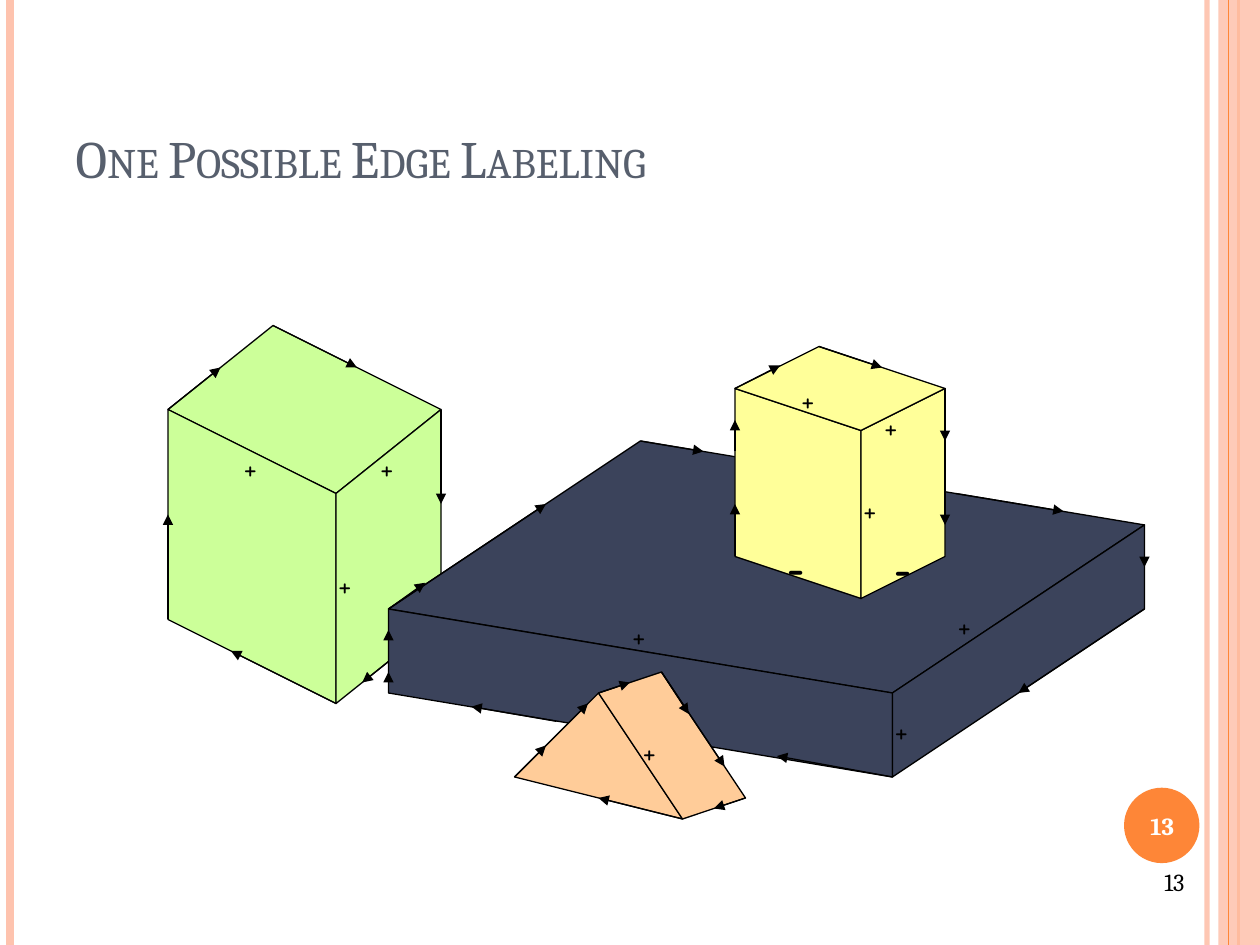
from pptx import Presentation
from pptx.dml.color import RGBColor
from pptx.enum.shapes import MSO_CONNECTOR, MSO_SHAPE
from pptx.enum.text import MSO_ANCHOR, MSO_AUTO_SIZE, PP_ALIGN
from pptx.oxml.ns import qn
from pptx.util import Cm, Pt
from lxml import etree

STRAIGHT = MSO_CONNECTOR.STRAIGHT
RECT, OVAL = MSO_SHAPE.RECTANGLE, MSO_SHAPE.OVAL
TOP, MIDDLE, BOTTOM = MSO_ANCHOR.TOP, MSO_ANCHOR.MIDDLE, MSO_ANCHOR.BOTTOM
LEFT, CENTER, RIGHT = PP_ALIGN.LEFT, PP_ALIGN.CENTER, PP_ALIGN.RIGHT
NO_FIT = MSO_AUTO_SIZE.NONE

BLACK = RGBColor(0x00, 0x00, 0x00)
WHITE = RGBColor(0xFF, 0xFF, 0xFF)
SLATE = RGBColor(0x57, 0x5F, 0x6D)
ORANGE = RGBColor(0xFE, 0x86, 0x37)
PEACH = RGBColor(0xFE, 0xC3, 0xAE)
GREEN = RGBColor(0xCC, 0xFF, 0x99)
NAVY = RGBColor(0x3B, 0x43, 0x5B)
APRICOT = RGBColor(0xFF, 0xCC, 0x99)
YELLOW = RGBColor(0xFF, 0xFF, 0x99)

SERIF, COMIC = "Cambria", "Comic Neue"
WIDTH, HEIGHT = 25.4, 19.05
GRID = 2.54 / 12  # the drawing sits on a grid of twelve steps to the inch

TITLE = "One Possible Edge Labeling"
NUMBER = "13"

# Vertical rules of the frame: x in cm, colour, width in points, opacity %
RULES_BEHIND = [(24.33, PEACH, 3, 93), (0.2, PEACH, 4.5, 100), (24.97, ORANGE, 1.5, 100)]
RULE_FRONT = (24.77, ORANGE, 0.75, 100)

# Faces of the solids, back to front, in grid steps
FACES = [
    (GREEN, [(16, 39), (32, 47), (42, 39), (26, 31)]),
    (GREEN, [(16, 59), (16, 39), (32, 47), (32, 67)]),
    (GREEN, [(42, 59), (32, 67), (32, 47), (42, 39)]),
    (NAVY, [(37, 58), (85, 66), (109, 50), (61, 42)]),
    (NAVY, [(37, 66), (37, 58), (85, 66), (85, 74)]),
    (NAVY, [(109, 58), (109, 50), (85, 66), (85, 74)]),
    (APRICOT, [(49, 74), (65, 78), (57, 66)]),
    (APRICOT, [(57, 66), (63, 64), (71, 76), (65, 78)]),
    (YELLOW, [(70, 53), (82, 57), (82, 41), (70, 37)]),
    (YELLOW, [(82, 41), (90, 37), (90, 53), (82, 57)]),
    (YELLOW, [(70, 37), (78, 33), (90, 37), (82, 41)]),
]

# Occluding edges: arrows from start to end, in grid steps
ARROWS = [
    # green block
    (16, 59, 16, 49), (32, 67, 22, 62), (16, 39, 21, 35), (26, 31, 34, 35),
    (37, 63, 34.5, 65), (42, 39, 42, 48),
    # slab
    (37, 58, 52, 48), (37, 58, 40.5, 55.5), (37, 66, 37, 60), (37, 66, 37, 64),
    (53, 68.7, 44.9, 67.3), (109, 58, 97, 66), (85, 74, 74, 72),
    (61, 42, 67, 43), (91, 47, 101.3, 48.7), (109, 50, 109, 54),
    # wedge
    (65, 78, 57, 76), (49, 74, 52, 71), (49, 74, 56, 67), (57, 66, 60, 65),
    (63, 64, 65.6, 68), (63, 64, 69, 73), (71, 76, 68, 77),
    # yellow block
    (70, 43, 70, 40), (70, 53, 70, 48), (70, 37, 74.3, 34.8),
    (78, 33, 84, 35), (90, 37, 90, 42), (90, 37, 90, 50),
]

# Convex and concave edges: sign, size, bold, box in cm, corners in grid steps
SIGNS = [
    ("+", 18, False, (0.81, 1.02), [
        (84, 67.1), (90, 57.1), (59, 58.1), (35, 42.1), (31, 53.2),
        (22, 42.1), (60, 69.1), (81, 46.1), (83, 38.2), (75.1, 35.6)]),
    ("-", 24, True, (1.02, 1.27), [(84, 51.1), (73.8, 51)]),
]


def set_alpha(fill_parent, percent):
    if percent < 100:
        color = fill_parent.find(".//" + qn("a:srgbClr"))
        etree.SubElement(color, qn("a:alpha")).set("val", str(percent * 1000))


def add_line(x1, y1, x2, y2, color=BLACK, width=0.75, opacity=100, arrow=False):
    line = slide.shapes.add_connector(STRAIGHT, Cm(x1), Cm(y1), Cm(x2), Cm(y2))
    line.line.color.rgb = color
    line.line.width = Pt(width)
    sp_pr = line._element.spPr
    ln = sp_pr.find(qn("a:ln"))
    set_alpha(ln, opacity)
    if arrow:
        etree.SubElement(ln, qn("a:tailEnd")).set("type", "triangle")
    etree.SubElement(sp_pr, qn("a:effectLst"))


def add_rule(x, color, width, opacity):
    add_line(x, 0, x, HEIGHT, color, width, opacity)


def add_solid(kind, x, y, w, h, color, opacity=100):
    sp = slide.shapes.add_shape(kind, Cm(x), Cm(y), Cm(w), Cm(h))
    sp.shadow.inherit = False
    sp.fill.solid()
    sp.fill.fore_color.rgb = color
    set_alpha(sp._element.spPr, opacity)
    sp.line.fill.background()


def write(tf, text, size, font, color, align=LEFT, bold=False):
    p = tf.paragraphs[0]
    p.alignment = align
    r = p.add_run()
    r.text = text
    r.font.size = Pt(size)
    r.font.name = font
    r.font.bold = bold
    r.font.color.rgb = color
    return r


def add_text(x, y, w, h, text, size, font, color, align=LEFT, bold=False,
             anchor=TOP, wrap=True):
    tf = slide.shapes.add_textbox(Cm(x), Cm(y), Cm(w), Cm(h)).text_frame
    tf.word_wrap = wrap
    tf.vertical_anchor = anchor
    write(tf, text, size, font, color, align, bold)


def add_face(color, corners):
    start, *rest = [(Cm(x * GRID), Cm(y * GRID)) for x, y in corners]
    builder = slide.shapes.build_freeform(*start)
    builder.add_line_segments(rest, close=True)
    sp = builder.convert_to_shape()
    sp.shadow.inherit = False
    sp.fill.solid()
    sp.fill.fore_color.rgb = color
    sp.line.color.rgb = BLACK
    sp.line.width = Pt(0.75)


prs = Presentation()
prs.slide_width, prs.slide_height = Cm(WIDTH), Cm(HEIGHT)
slide = prs.slides.add_slide(prs.slide_layouts[5])

# Frame
for rule in RULES_BEHIND:
    add_rule(*rule)
add_solid(RECT, 24.56, 0, 0.84, HEIGHT, PEACH, 87)
add_rule(*RULE_FRONT)
add_solid(OVAL, 22.66, 15.88, 1.52, 1.52, ORANGE)

# Title
title = slide.shapes.title
title.left, title.top, title.width, title.height = Cm(1.27), Cm(0.76), Cm(20.75), Cm(3.18)
title.text_frame.vertical_anchor = BOTTOM
title.text_frame.auto_size = NO_FIT
r = write(title.text_frame, TITLE, 30, SERIF, SLATE)
r.font._element.set("cap", "small")

# Number in the disc
add_text(22.58, 15.93, 1.7, 1.45, NUMBER, 14, SERIF, WHITE, CENTER, True, MIDDLE)

# Solids, arrows and signs
for color, corners in FACES:
    add_face(color, corners)
for arrow in ARROWS:
    add_line(*(v * GRID for v in arrow), arrow=True)
for sign, size, bold, (w, h), corners in SIGNS:
    for x, y in corners:
        add_text(x * GRID, y * GRID, w, h, sign, size, COMIC, BLACK, bold=bold, wrap=False)

# Footer number
add_text(18.21, 17.35, 5.92, 1.32, NUMBER, 14, SERIF, BLACK, RIGHT)

prs.save("out.pptx")
